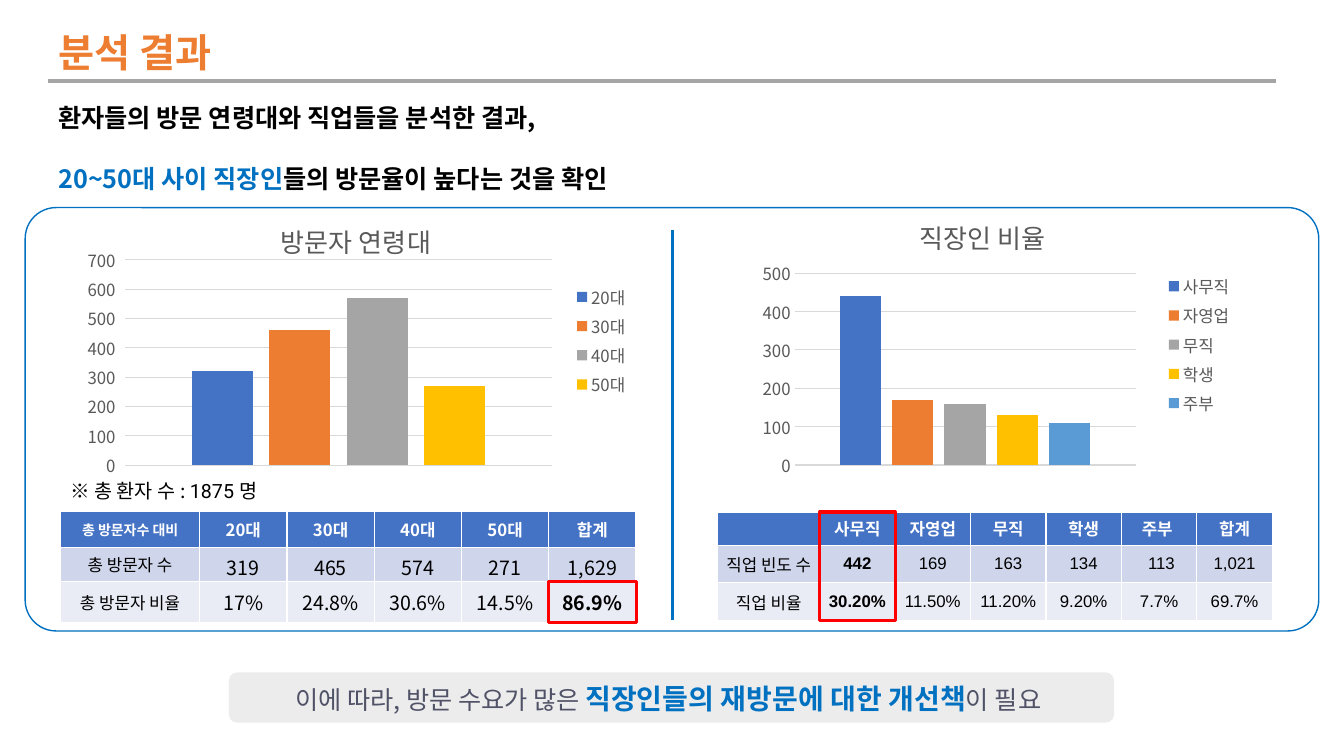
from dataclasses import dataclass

from lxml import etree
from pptx import Presentation
from pptx.chart.data import CategoryChartData
from pptx.dml.color import RGBColor
from pptx.enum.chart import XL_CHART_TYPE, XL_LEGEND_POSITION, XL_TICK_MARK
from pptx.enum.shapes import MSO_CONNECTOR, MSO_SHAPE
from pptx.enum.text import MSO_ANCHOR, MSO_AUTO_SIZE, PP_ALIGN
from pptx.oxml.ns import qn
from pptx.util import Inches, Pt

COLUMN, STRAIGHT = XL_CHART_TYPE.COLUMN_CLUSTERED, MSO_CONNECTOR.STRAIGHT
RECT, ROUNDED = MSO_SHAPE.RECTANGLE, MSO_SHAPE.ROUNDED_RECTANGLE
CENTER, MIDDLE = PP_ALIGN.CENTER, MSO_ANCHOR.MIDDLE
TICK_OUT, NO_TICK = XL_TICK_MARK.OUTSIDE, XL_TICK_MARK.NONE


@dataclass(frozen=True)
class Theme:
    font: str = "Noto Sans CJK KR"
    number_font: str = "Roboto"
    table_font: str = "Arial"
    black: str = "000000"
    white: str = "FFFFFF"
    blue: str = "0070C0"
    orange: str = "ED7D31"
    rule: str = "A5A5A5"
    red: str = "FF0000"
    slate: str = "505267"
    bar: str = "181717"
    chart_text: str = "595959"
    grid: str = "D9D9D9"
    series: tuple = ("4472C4", "ED7D31", "A5A5A5", "FFC000", "5B9BD5")
    rows: tuple = ("4472C4", "CFD5EA", "E9EBF5")
    heading: float = 28
    strong: float = 20
    chart_title: float = 18.6
    body: float = 18
    note: float = 14
    label: float = 12
    small: float = 10


T = Theme()

# Runs: text, size, colour, bold, font
HEADING = [("분석 결과", T.heading, T.orange, True, T.font)]
FINDINGS = [
    (1.5, [("환자들의 방문 연령대와 직업들을 분석한 결과,", T.body, T.black, True, T.font)]),
    (2, [("20~50대 사이 직장인", T.body, T.blue, True, T.font),
         ("들의 방문율이 높다는 것을 확인", T.body, T.black, True, T.font)]),
]
PATIENTS = [("※ 총 환자 수 : ", T.note, T.black, False, T.font),
            ("1875\u00a0명", T.note, T.black, False, T.number_font)]
CONCLUSION = [("이에 따라, 방문 수요가 많은 ", T.body, T.slate, False, T.font),
              ("직장인들의 재방문에 대한 개선책", T.strong, T.blue, True, T.font),
              ("이 필요 ", T.body, T.slate, False, T.font)]

AGES = dict(
    title="방문자 연령대", maximum=700, title_at=(0.36, 0.04), tick=TICK_OUT,
    chart_at=(0.71, 2.02, 5.63, 2.72), plot=(0.095, 0.205, 0.751, 0.749),
    rows=[["총 방문자수 대비", "20대", "30대", "40대", "50대", "합계"],
          ["총 방문자 수", "319", "465", "574", "271", "1,629"],
          ["총 방문자 비율", "17%", "24.8%", "30.6%", "14.5%", "86.9%"]],
    table_at=(0.6, 5.07), width=5.71, first_col=1.38, heights=(0.36, 0.34, 0.41),
    font=T.font, corner=T.small, number=T.note, margins=(0.1, 0.05),
    bold={(2, 5)}, marked=(2, 5, 1))
JOBS = dict(
    title="직장인 비율", maximum=500, title_at=(0.35, 0.01), tick=NO_TICK,
    chart_at=(7.32, 2.06, 5.01, 2.72), plot=(0.112, 0.24, 0.675, 0.699),
    rows=[["", "사무직", "자영업", "무직", "학생", "주부 ", "합계"],
          ["직업 빈도 수", "442", "169", "163", "134", " 113", "1,021"],
          ["직업 비율", "30.20%", "11.50%", "11.20%", "9.20%", "7.7%", "69.7%"]],
    table_at=(7.12, 5.08), width=5.5, first_col=1.01, heights=(0.33, 0.37, 0.38),
    font=T.table_font, corner=T.label, number=T.label, margins=(0.01, 0.01),
    bold={(1, 1), (2, 1)}, marked=(0, 1, 3))


def rgb(code):
    return RGBColor.from_string(code)


def inches(values):
    return [Inches(v) for v in values]


def set_font(font, size, color, bold=False, name=T.font):
    font.size, font.bold, font.name = Pt(size), bold, name
    font.color.rgb = rgb(color)
    east_asian = etree.SubElement(font._rPr, qn("a:ea"))
    east_asian.set("typeface", T.font)


def add_runs(paragraph, runs):
    for text, *style in runs:
        run = paragraph.add_run()
        run.text = text
        set_font(run.font, *style)


def add_text(slide, box, paragraphs, wrap=True):
    frame = slide.shapes.add_textbox(*inches(box)).text_frame
    frame.word_wrap, frame.auto_size = wrap, MSO_AUTO_SIZE.SHAPE_TO_FIT_TEXT
    for i, (spacing, runs) in enumerate(paragraphs):
        paragraph = frame.add_paragraph() if i else frame.paragraphs[0]
        paragraph.line_spacing = spacing
        add_runs(paragraph, runs)


def add_box(slide, kind, box, line=None, width=1, corner=None):
    shape = slide.shapes.add_shape(kind, *inches(box))
    shape.shadow.inherit = False
    shape.fill.background()
    if line:
        shape.line.color.rgb, shape.line.width = rgb(line), Pt(width)
    else:
        shape.line.fill.background()
    if corner:
        shape.adjustments[0] = corner
    return shape


def add_rule(slide, ends, color, width):
    rule = slide.shapes.add_connector(STRAIGHT, *inches(ends))
    rule.line.color.rgb, rule.line.width = rgb(color), Pt(width)
    etree.SubElement(rule._element.spPr, qn("a:effectLst"))


def set_layout(parent, index, inner=False, **place):
    """Fix a chart part at shares of the chart's size."""
    for old in parent.findall(qn("c:layout")):
        parent.remove(old)
    layout = etree.Element(qn("c:layout"))
    manual = etree.SubElement(layout, qn("c:manualLayout"))
    settings = {"layoutTarget": "inner"} if inner else {}
    settings.update(xMode="edge", yMode="edge", **place)
    for tag, value in settings.items():
        etree.SubElement(manual, qn(f"c:{tag}")).set("val", str(value))
    parent.insert(index, layout)


def add_column_chart(slide, group):
    """Chart the table's counts, rounded to tens."""
    data = CategoryChartData()
    data.categories = ["1"]
    names, counts = (row[1:-1] for row in group["rows"][:2])
    for name, count in zip(names, counts):
        data.add_series(name.strip(), [round(int(count), -1)])
    chart = slide.shapes.add_chart(COLUMN, *inches(group["chart_at"]), data).chart
    set_font(chart.font, T.small, T.black)
    chart.has_title = True
    add_runs(chart.chart_title.text_frame.paragraphs[0],
             [(group["title"], T.chart_title, T.chart_text)])
    x, y = group["title_at"]
    set_layout(chart.chart_title._element, 1, x=x, y=y)
    x, y, w, h = group["plot"]
    set_layout(chart._chartSpace.chart.plotArea, 0, True, x=x, y=y, w=w, h=h)

    chart.has_legend = True
    chart.legend.position = XL_LEGEND_POSITION.RIGHT
    chart.legend.include_in_layout = False
    set_font(chart.legend.font, T.label, T.chart_text)
    chart.category_axis.visible = False
    axis = chart.value_axis
    axis.minimum_scale, axis.maximum_scale, axis.major_unit = 0, group["maximum"], 100
    axis.major_tick_mark = group["tick"]
    axis.format.line.fill.background()
    axis.major_gridlines.format.line.color.rgb = rgb(T.grid)
    axis.major_gridlines.format.line.width = Pt(0.75)
    set_font(axis.tick_labels.font, T.label, T.chart_text)
    plot = chart.plots[0]
    plot.gap_width, plot.overlap, plot.vary_by_categories = 219, -27, False
    for series, color in zip(plot.series, T.series):
        series.format.fill.solid()
        series.format.fill.fore_color.rgb = rgb(color)


def column_widths(group):
    """The first column is set; the others share the rest."""
    others = len(group["rows"][0]) - 1
    return [group["first_col"]] + [(group["width"] - group["first_col"]) / others] * others


def add_summary_table(slide, group):
    rows, heights, widths = group["rows"], group["heights"], column_widths(group)
    box = (*group["table_at"], group["width"], sum(heights))
    table = slide.shapes.add_table(len(rows), len(widths), *inches(box)).table
    for column, width in zip(table.columns, widths):
        column.width = Inches(width)
    side, edge = inches(group["margins"])
    for r, row in enumerate(rows):
        table.rows[r].height = Inches(heights[r])
        for c, text in enumerate(row):
            cell = table.cell(r, c)
            cell.fill.solid()
            cell.fill.fore_color.rgb = rgb(T.rows[r])
            cell.vertical_anchor = MIDDLE
            cell.margin_left = cell.margin_right = side
            cell.margin_top = cell.margin_bottom = edge
            size = group["number"] if r and c else T.label if r or c else group["corner"]
            paragraph = cell.text_frame.paragraphs[0]
            paragraph.alignment = CENTER
            add_runs(paragraph, [(text, size, T.black if r else T.white,
                                  r == 0 or (r, c) in group["bold"], group["font"])])


def mark_cells(slide, group):
    """Frame the key cells of a table in red."""
    row, col, span = group["marked"]
    left, top = group["table_at"]
    heights, widths = group["heights"], column_widths(group)
    box = (left + sum(widths[:col]), top + sum(heights[:row]),
           widths[col], sum(heights[row:row + span]))
    add_box(slide, RECT, box, T.red, 2.25)


def main():
    deck = Presentation()
    deck.slide_width, deck.slide_height = Inches(13.33), Inches(7.5)
    slide = deck.slides.add_slide(deck.slide_layouts[6])

    bar = add_box(slide, ROUNDED, (2.27, 6.67, 8.78, 0.5))
    bar.fill.solid()
    bar.fill.fore_color.rgb = rgb(T.bar)
    tint = bar._element.spPr.find(qn("a:solidFill"))[0]
    etree.SubElement(tint, qn("a:alpha")).set("val", "8000")
    conclusion = add_box(slide, ROUNDED, (2.26, 6.53, 8.79, 0.79), corner=0.073).text_frame
    conclusion.word_wrap, conclusion.vertical_anchor = True, MIDDLE
    conclusion.paragraphs[0].alignment = CENTER
    add_runs(conclusion.paragraphs[0], CONCLUSION)

    add_rule(slide, (0.48, 0.8, 12.66, 0.8), T.rule, 3)
    add_text(slide, (0.48, 0.23, 1.91, 0.57), [(1, HEADING)], wrap=False)
    add_box(slide, ROUNDED, (0.25, 2.06, 12.83, 4.2), T.blue, 1, 0.073)
    add_rule(slide, (6.67, 2.28, 6.67, 6.15), T.blue, 1.5)
    for build in (add_summary_table, add_column_chart, mark_cells):
        for group in (AGES, JOBS):
            build(slide, group)
    add_text(slide, (0.6, 4.7, 3.32, 0.34), [(1, PATIENTS)])
    add_text(slide, (0.48, 0.82, 12.18, 1.06), FINDINGS)
    deck.save("out.pptx")


if __name__ == "__main__":
    main()
